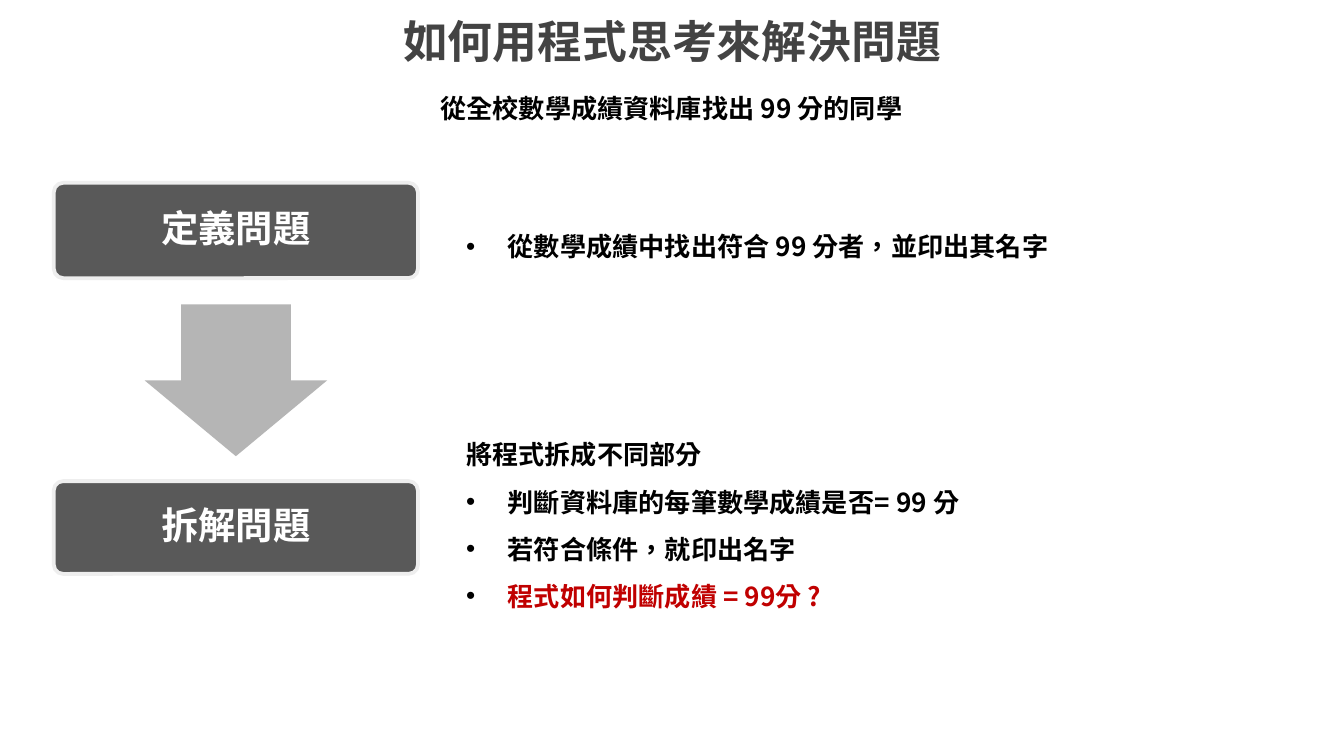
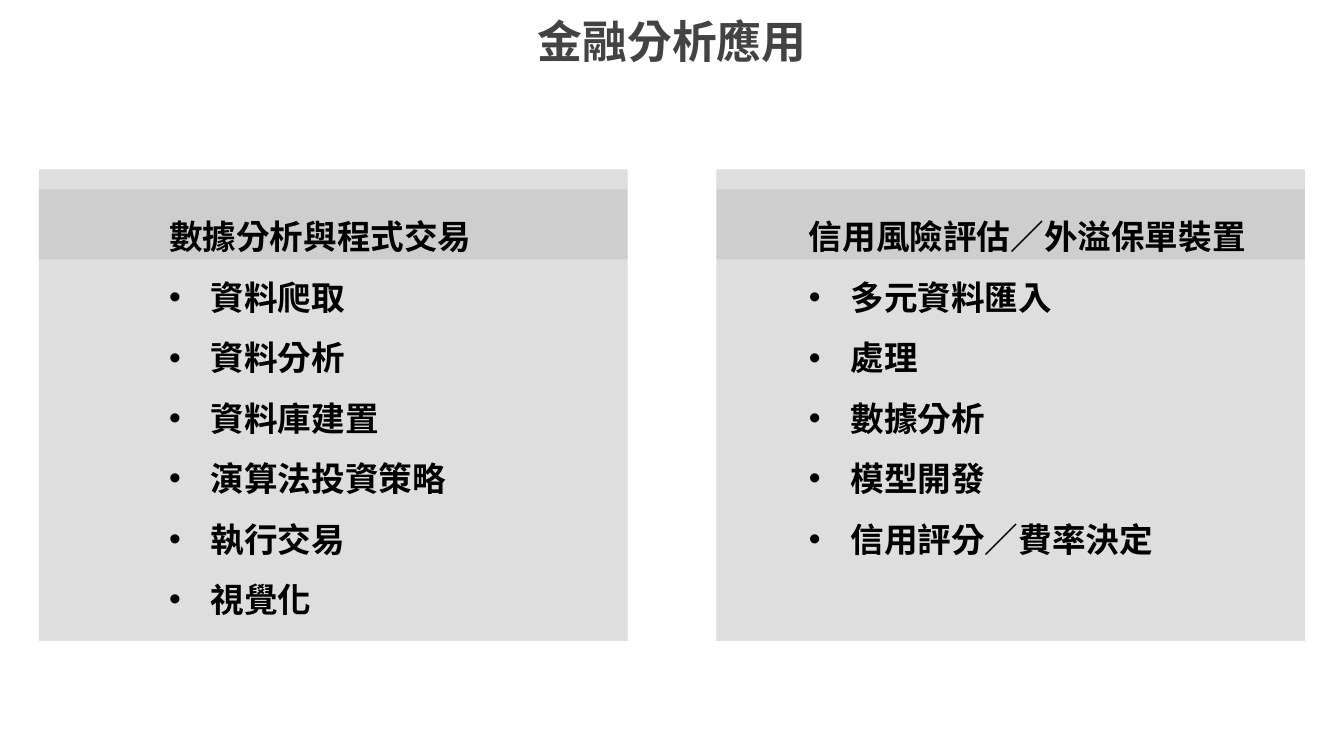
import pptx
import pptx.util
import pptx.dml.color
import pptx.enum.shapes
import pptx.enum.text
import pptx.oxml.ns
import lxml.etree

PX = 9144
FONT = "Noto Sans CJK SC"
HUES = {"title": "434343", "text": "000000", "alert": "C00000", "step": "595959",
        "edge": "EEEEEE", "arrow": "B5B5B5", "panel": "BFBFBF", "white": "FFFFFF"}
SHAPE = pptx.enum.shapes.MSO_SHAPE
ALIGN = pptx.enum.text.PP_ALIGN
ANCHOR = pptx.enum.text.MSO_ANCHOR
FIT = pptx.enum.text.MSO_AUTO_SIZE


def px(*nums):
    """Turn px lengths into EMU."""
    return [pptx.util.Emu(n * PX) for n in nums]


def rgb(hue):
    """Give the named colour."""
    return pptx.dml.color.RGBColor.from_string(HUES[hue])


def node(parent, tag, **attrs):
    """Append a drawing element to a parent."""
    return lxml.etree.SubElement(parent, pptx.oxml.ns.qn(tag), attrs)


def add_run(para, text, size, hue):
    """Add a bold run in the shared font and language."""
    run = para.add_run()
    run.text = text
    run.font.size = pptx.util.Pt(size)
    run.font.bold = True
    run.font.color.rgb = rgb(hue)
    run.font.name = FONT
    props = run.font._element
    props.set("lang", "zh-TW")
    node(props, "a:ea", typeface=FONT)


def set_dot(para):
    """Give a paragraph a round bullet with a hanging indent."""
    props = para._p.get_or_add_pPr()
    indent = 31 * PX
    props.set("marL", str(indent))
    props.set("indent", str(-indent))
    node(node(props, "a:buClr"), "a:srgbClr", val=HUES["text"])
    node(props, "a:buFont", typeface="Arial")
    node(props, "a:buChar", char="•")


def add_title(slide, text):
    """Place and fill the slide title."""
    title = slide.shapes.title
    title.left, title.top, title.width, title.height = px(215, 0, 570, 103)
    frame = title.text_frame
    frame.auto_size = FIT.NONE
    frame.vertical_anchor = ANCHOR.TOP
    frame.margin_left, frame.margin_top, frame.margin_right, frame.margin_bottom = px(*[10] * 4)
    para = frame.paragraphs[0]
    para.alignment = ALIGN.CENTER
    add_run(para, text, 24, "title")


def add_list(slide, box, size, head=None, items=(), gap=1.5, align=ALIGN.LEFT):
    """Add a heading line with bulleted items of (text, hue) below."""
    frame = slide.shapes.add_textbox(*px(*box)).text_frame
    frame.word_wrap = True
    frame.auto_size = FIT.SHAPE_TO_FIT_TEXT
    lines = [(head, "text", False)] if head else []
    lines += [(text, hue, True) for text, hue in items]
    for i, (text, hue, dot) in enumerate(lines):
        para = frame.add_paragraph() if i else frame.paragraphs[0]
        if dot:
            set_dot(para)
        para.alignment = align
        para.line_spacing = 1.5 if dot else gap
        add_run(para, text, size, hue)


def add_block(slide, kind, box, hue, alpha=None):
    """Add a filled shape without a line, see-through if asked."""
    block = slide.shapes.add_shape(kind, *px(*box))
    block.shadow.inherit = False
    block.fill.solid()
    block.fill.fore_color.rgb = rgb(hue)
    block.line.fill.background()
    if alpha:
        tint = block._element.spPr.find(".//" + pptx.oxml.ns.qn("a:srgbClr"))
        node(tint, "a:alpha", val=str(alpha * 1000))
    return block


def add_step(slide, top, height, text):
    """Add a rounded box that names one step."""
    step = add_block(slide, SHAPE.ROUNDED_RECTANGLE, (40, top, 271, height), "step")
    step.adjustments[0] = 0.1
    step.line.color.rgb = rgb("edge")
    step.line.width = pptx.util.Pt(2)
    frame = step.text_frame
    frame.word_wrap = True
    frame.vertical_anchor = ANCHOR.MIDDLE
    para = frame.paragraphs[0]
    para.alignment = ALIGN.CENTER
    para.line_spacing = 0.9
    add_run(para, text, 20, "white")


def plain(*texts):
    """Pair each text with the text colour."""
    return [(text, "text") for text in texts]


def show_steps(slide):
    """Build the problem-solving slide."""
    add_title(slide, "如何用程式思考來解決問題")
    add_list(slide, (222, 52, 555, 41), 14, "從全校數學成績資料庫找出 99 分的同學",
             align=ALIGN.CENTER)
    add_step(slide, 136, 71, "定義問題")
    arrow = add_block(slide, SHAPE.RIGHT_ARROW, (119, 215, 113, 136), "arrow")
    arrow.rotation = 90
    arrow.adjustments[0] = 0.6
    arrow.adjustments[1] = 0.5
    add_step(slide, 358, 69, "拆解問題")
    add_list(slide, (337, 155, 576, 41), 14,
             items=plain("從數學成績中找出符合 99 分者，並印出其名字"))
    tasks = plain("判斷資料庫的每筆數學成績是否= 99 分", "若符合條件，就印出名字")
    tasks.append(("程式如何判斷成績 = 99分 ?", "alert"))
    add_list(slide, (337, 310, 461, 147), 14, "將程式拆成不同部分", tasks)


def show_uses(slide):
    """Build the financial uses slide."""
    for top, height in ((141, 52), (126, 351)):
        for left in (533, 29):
            add_block(slide, SHAPE.RECTANGLE, (left, top, 438, height), "panel", 51)
    add_title(slide, "金融分析應用")
    add_list(slide, (116, 126, 264, 395), 18, "數據分析與程式交易",
             plain("資料爬取", "資料分析", "資料庫建置", "演算法投資策略", "執行交易", "視覺化"), 2.0)
    add_list(slide, (592, 126, 379, 349), 18, "信用風險評估／外溢保單裝置",
             plain("多元資料匯入", "處理", "數據分析", "模型開發", "信用評分／費率決定"), 2.0)


def main():
    """Build and save a 16:9 deck."""
    deck = pptx.Presentation()
    deck.slide_width = pptx.util.Emu(1000 * PX)
    deck.slide_height = pptx.util.Emu(deck.slide_width * 9 // 16)
    for show in (show_steps, show_uses):
        show(deck.slides.add_slide(deck.slide_layouts[5]))
    deck.save("out.pptx")


if __name__ == "__main__":
    main()
